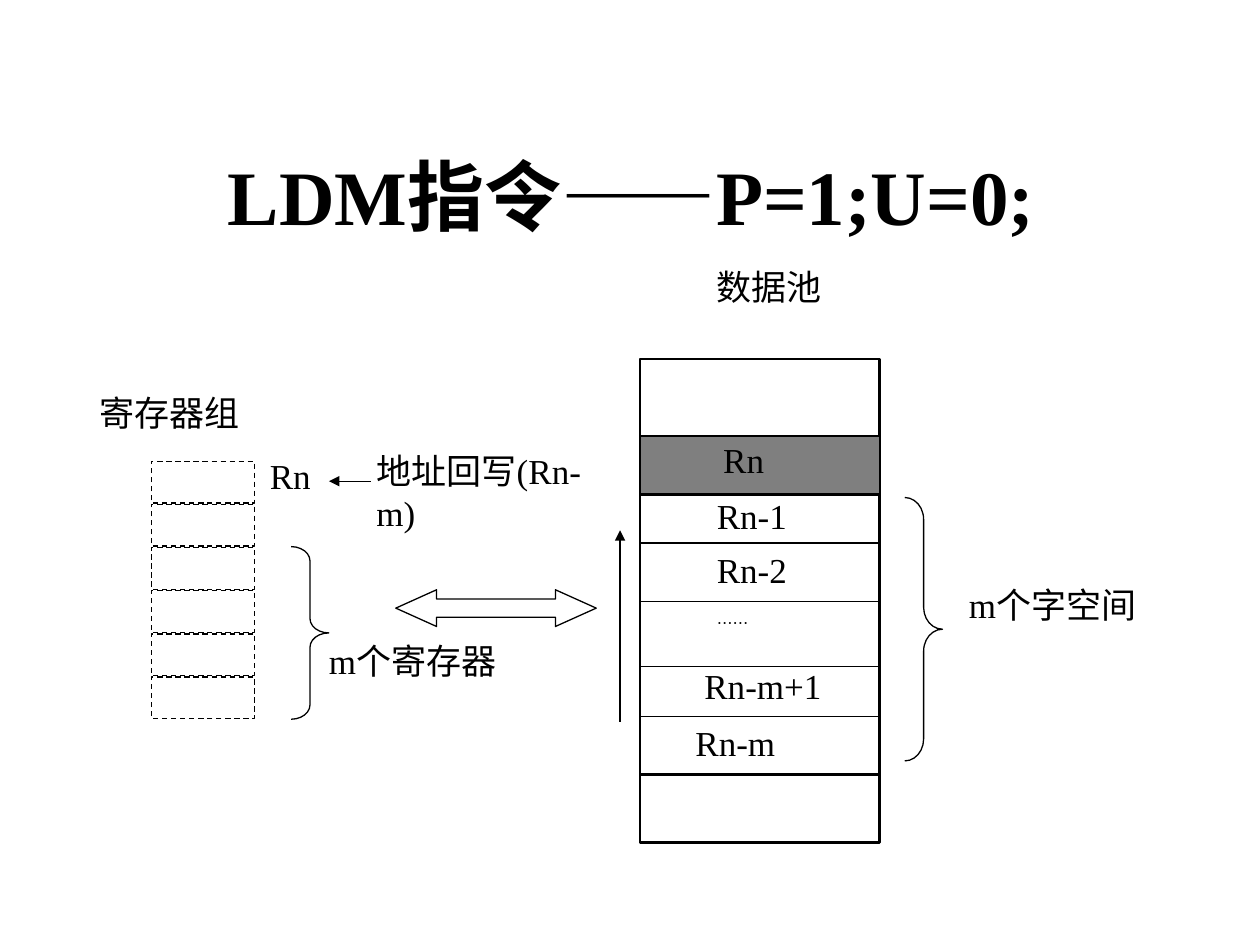
from collections import namedtuple

from lxml import etree
from pptx import Presentation
from pptx.dml.color import RGBColor
from pptx.enum.dml import MSO_LINE
from pptx.enum.shapes import MSO_CONNECTOR, MSO_SHAPE
from pptx.enum.text import MSO_ANCHOR, PP_ALIGN
from pptx.oxml.ns import qn
from pptx.util import Cm, Pt

Box = namedtuple("Box", "left top width height")

BLACK = RGBColor(0x00, 0x00, 0x00)
WHITE = RGBColor(0xFF, 0xFF, 0xFF)
GRAY = RGBColor(0x7F, 0x7F, 0x7F)
LATIN_FONT = "Times New Roman"
CHINESE_FONT = "Noto Sans CJK SC"
THIN, THICK = Pt(0.75), Pt(1.5)

RECTANGLE = MSO_SHAPE.RECTANGLE
RIGHT_BRACE = MSO_SHAPE.RIGHT_BRACE
DOUBLE_ARROW = MSO_SHAPE.LEFT_RIGHT_ARROW
STRAIGHT = MSO_CONNECTOR.STRAIGHT
DASH = MSO_LINE.DASH
MIDDLE = MSO_ANCHOR.MIDDLE
CENTER = PP_ALIGN.CENTER

LABEL_HEIGHT = 1.07
REGISTER_COUNT = 6
REGISTER_PITCH = 0.87
TITLE_BOX = Box(1.3, 2.34, 22.86, 3.18)
REGISTER_BOX = Box(2, 7.9, 10.5, 6.65)
TRANSFER_BOX = Box(7.98, 10.69, 4.52, 3.86)
POOL_BOX = Box(12.9, 5.36, 10.1, 11.63)

# left, top and width inside the pool box
POOL_LABELS = [
    ("数据池", 1.55, 0, 2.62),
    ("Rn", 1.68, 3.48, 1.35),
    ("Rn-1", 1.55, 4.6, 1.47),
    ("Rn-2", 1.55, 5.69, 1.93),
    ("Rn-m+1", 1.3, 8.03, 3.05),
    ("Rn-m", 1.12, 9.19, 3.05),
    ("m个字空间", 6.63, 6.4, 3.45),
]
POOL_DIVIDERS = [(4.62, THIN), (5.59, THIN), (6.76, THIN), (8.08, THIN),
                 (9.09, THIN), (10.25, THICK)]


def format_run(run, size, latin=LATIN_FONT, bold=False):
    for name, value in {"name": latin, "size": Pt(size), "bold": bold}.items():
        setattr(run.font, name, value)
    run.font.color.rgb = BLACK
    east_asian = etree.SubElement(run.font._element, qn("a:ea"))
    east_asian.set("typeface", CHINESE_FONT)


def add_label(slide, box, text, left, top, width, size=20, latin=LATIN_FONT):
    shape = slide.shapes.add_textbox(Cm(box.left + left), Cm(box.top + top),
                                     Cm(width), Cm(LABEL_HEIGHT))
    frame = shape.text_frame
    frame.word_wrap = True
    for side in ("left", "top", "right", "bottom"):
        setattr(frame, f"margin_{side}", 0)
    run = frame.paragraphs[0].add_run()
    run.text = text
    format_run(run, size, latin)


def add_outline(slide, kind, box, left, top, width, height,
                fill=WHITE, weight=THIN, adjustments=()):
    shape = slide.shapes.add_shape(kind, Cm(box.left + left), Cm(box.top + top),
                                   Cm(width), Cm(height))
    shape.shadow.inherit = False
    if fill is None:
        shape.fill.background()
    else:
        shape.fill.solid()
        shape.fill.fore_color.rgb = fill
    shape.line.color.rgb = BLACK
    shape.line.width = weight
    for index, value in enumerate(adjustments):
        shape.adjustments[index] = value
    return shape


def add_line(slide, box, start, end, weight=THIN, arrow=False):
    points = [Cm(value) for x, y in (start, end)
              for value in (box.left + x, box.top + y)]
    connector = slide.shapes.add_connector(STRAIGHT, *points)
    connector.line.color.rgb = BLACK
    connector.line.width = weight
    properties = connector._element.spPr
    if arrow:
        line = properties.find(qn("a:ln"))
        etree.SubElement(line, qn("a:tailEnd")).set("type", "triangle")
    etree.SubElement(properties, qn("a:effectLst"))


def place_title(slide, box):
    title = slide.shapes.title
    for name, value in box._asdict().items():
        setattr(title, name, Cm(value))
    frame = title.text_frame
    frame.vertical_anchor = MIDDLE
    paragraph = frame.paragraphs[0]
    paragraph.alignment = CENTER
    run = paragraph.add_run()
    run.text = "LDM指令——P=1;U=0;"
    format_run(run, 44, bold=True)


def draw_registers(slide, box):
    for index in range(REGISTER_COUNT):
        cell = add_outline(slide, RECTANGLE, box, 1.05,
                           1.4 + index * REGISTER_PITCH, 2.08, 0.84)
        cell.line.dash_style = DASH
    add_outline(slide, RIGHT_BRACE, box, 3.87, 3.12, 0.76, 3.48,
                fill=None, adjustments=(0.38, 0.5))
    add_line(slide, box, (5.47, 1.8), (4.63, 1.8), arrow=True)
    add_label(slide, box, "寄存器组", 0, 0, 3.53)
    add_label(slide, box, "Rn", 3.44, 1.27, 1.2)
    add_label(slide, box, "地址回写(Rn-m)", 5.59, 1.17, 4.9)
    add_label(slide, box, "m个寄存器", 4.63, 5, 3.45)


def draw_transfer(slide, box):
    """Draw the two-way block arrow and the upward address arrow."""
    add_outline(slide, DOUBLE_ARROW, box, 0, 1.2, 4.04, 0.74,
                adjustments=(0.5, 1.11))
    add_line(slide, box, (box.width, box.height), (box.width, 0), arrow=True)


def draw_data_pool(slide, box):
    pool_top, pool_width = 1.88, 4.83
    add_outline(slide, RECTANGLE, box, 0, pool_top, pool_width,
                box.height - pool_top, weight=THICK)
    for top, weight in POOL_DIVIDERS:
        add_line(slide, box, (0, top), (pool_width, top), weight)
    add_outline(slide, RECTANGLE, box, 0, 3.43, pool_width, 1.17, fill=GRAY)
    add_outline(slide, RIGHT_BRACE, box, 5.34, 4.67, 0.76, 5.31,
                fill=None, adjustments=(0.58, 0.5))
    for label in POOL_LABELS:
        add_label(slide, box, *label)
    add_label(slide, box, "……", 1.55, 7.01, 1.65, 9, CHINESE_FONT)


def main():
    presentation = Presentation()
    presentation.slide_width = Cm(25.4)
    presentation.slide_height = Cm(19.05)
    title_only = presentation.slide_layouts[5]
    slide = presentation.slides.add_slide(title_only)
    place_title(slide, TITLE_BOX)
    draw_registers(slide, REGISTER_BOX)
    draw_transfer(slide, TRANSFER_BOX)
    draw_data_pool(slide, POOL_BOX)
    presentation.save("out.pptx")


if __name__ == "__main__":
    main()
